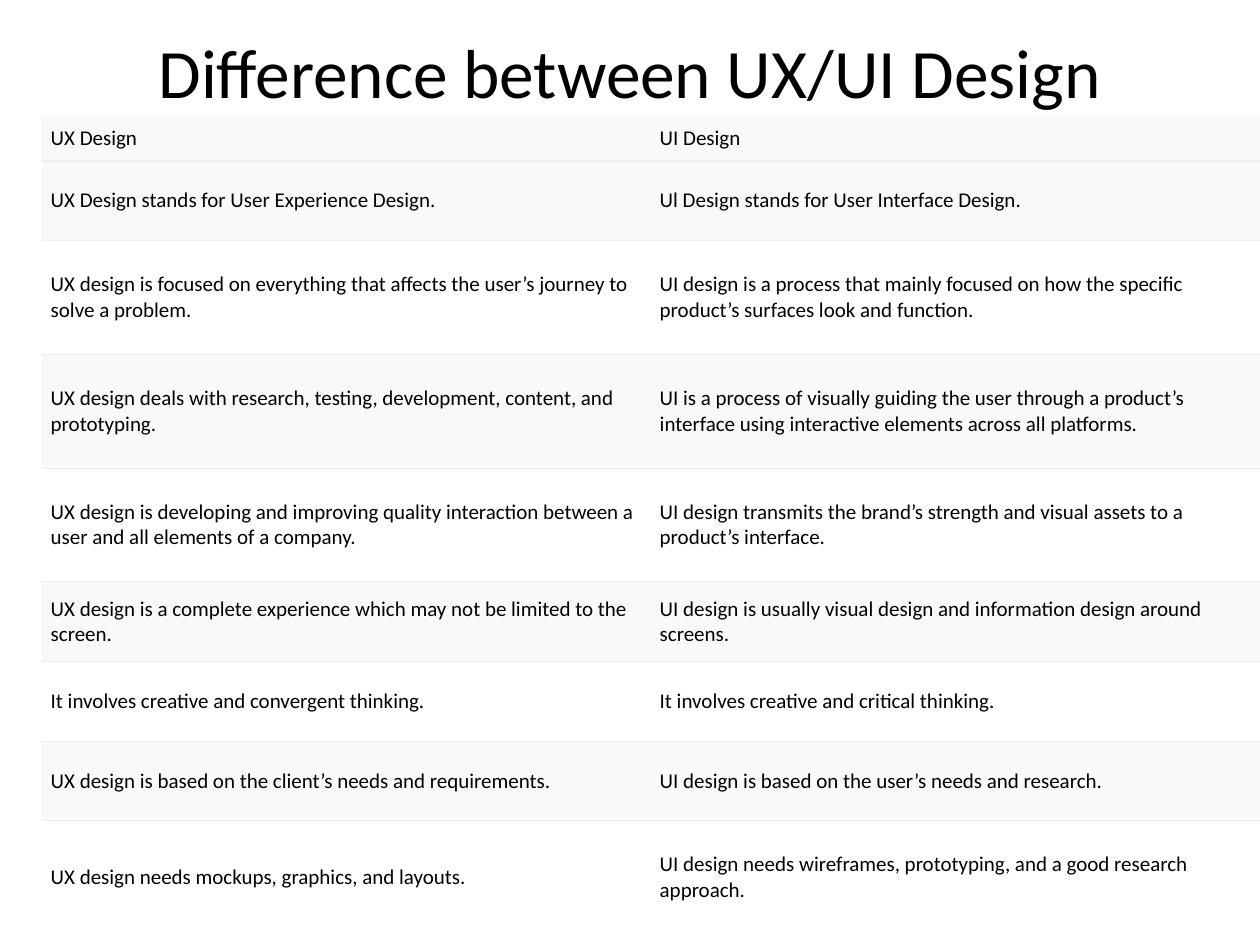
"""Build a slide that compares UX design and UI design in a table."""
from dataclasses import dataclass

from lxml import etree
from pptx import Presentation
from pptx.dml.color import RGBColor
from pptx.enum.text import MSO_ANCHOR, PP_ALIGN
from pptx.oxml.ns import qn
from pptx.slide import Slide
from pptx.table import _Cell
from pptx.text.text import TextFrame
from pptx.util import Pt

MIDDLE = MSO_ANCHOR.MIDDLE
CENTER = PP_ALIGN.CENTER
LEFT = PP_ALIGN.LEFT
FONT = "Calibri"
COLORS = {"text": "000000", "shaded": "F9F9F9", "plain": "FFFFFF", "rule": "EEEEEE"}
COLUMN_WIDTH = 348
HEADER, SHORT, TALL = 26, 45.5, 65


@dataclass(frozen=True)
class Comparison:
    ux: str
    ui: str
    height: float


COMPARISONS = [
    Comparison("UX Design", "UI Design", HEADER),
    Comparison("UX Design stands for User Experience Design.",
               "Ul Design stands for User Interface Design.", SHORT),
    Comparison("UX design is focused on everything that affects the user’s journey to solve a problem.",
               "UI design is a process that mainly focused on how the specific product’s surfaces "
               "look and function.", TALL),
    Comparison("UX design deals with research, testing, development, content, and prototyping.",
               "UI is a process of visually guiding the user through a product’s interface using "
               "interactive elements across all platforms.", TALL),
    Comparison("UX design is developing and improving quality interaction between a user and all "
               "elements of a company.",
               "UI design transmits the brand’s strength and visual assets to a product’s interface.", TALL),
    Comparison("UX design is a complete experience which may not be limited to the screen.",
               "UI design is usually visual design and information design around screens.", SHORT),
    Comparison("It involves creative and convergent thinking.",
               "It involves creative and critical thinking.", SHORT),
    Comparison("UX design is based on the client’s needs and requirements.",
               "UI design is based on the user’s needs and research.", SHORT),
    Comparison("UX design needs mockups, graphics, and layouts.",
               "UI design needs wireframes, prototyping, and a good research approach.", TALL),
]


def write_text(text_frame: TextFrame, text: str, size: float, alignment: PP_ALIGN) -> None:
    text_frame.text = text
    paragraph = text_frame.paragraphs[0]
    paragraph.alignment = alignment
    font = paragraph.runs[0].font
    font.name = FONT
    font.size = Pt(size)
    font.color.rgb = RGBColor.from_string(COLORS["text"])


def add_title(slide: Slide, text: str) -> None:
    shape = slide.shapes.add_textbox(Pt(36), Pt(21.6), Pt(648), Pt(38))
    shape.text_frame.word_wrap = True
    shape.text_frame.vertical_anchor = MIDDLE
    write_text(shape.text_frame, text, 39.6, CENTER)


def set_borders(cell: _Cell, ruled_sides: str) -> None:
    properties = cell._tc.get_or_add_tcPr()
    for side in "LRTB":
        line = etree.SubElement(properties, qn(f"a:ln{side}"), w=str(Pt(0.75)))
        if side in ruled_sides:
            fill = etree.SubElement(line, qn("a:solidFill"))
            etree.SubElement(fill, qn("a:srgbClr"), val=COLORS["rule"])
        else:
            etree.SubElement(line, qn("a:noFill"))


def format_cell(cell: _Cell, text: str, color: str, ruled_sides: str) -> None:
    set_borders(cell, ruled_sides)
    cell.fill.solid()
    cell.fill.fore_color.rgb = RGBColor.from_string(color)
    cell.margin_left = cell.margin_right = Pt(5)
    cell.margin_top = cell.margin_bottom = Pt(2.5)
    cell.vertical_anchor = MIDDLE
    write_text(cell.text_frame, text, 12, LEFT)


def add_comparison_table(slide: Slide, comparisons: list[Comparison]) -> None:
    height = sum(comparison.height for comparison in comparisons)
    table = slide.shapes.add_table(
        len(comparisons), 2, Pt(24), Pt(66), Pt(2 * COLUMN_WIDTH), Pt(height)).table
    table.first_row = table.horz_banding = False
    for column in table.columns:
        column.width = Pt(COLUMN_WIDTH)
    last = len(comparisons) - 1
    for index, comparison in enumerate(comparisons):
        table.rows[index].height = Pt(comparison.height)
        color = COLORS["shaded" if index == 0 or index % 2 else "plain"]
        ruled_sides = {0: "B", last: "T"}.get(index, "TB")
        for cell, text in zip(table.rows[index].cells, (comparison.ux, comparison.ui)):
            format_cell(cell, text, color, ruled_sides)


def main() -> None:
    presentation = Presentation()
    presentation.slide_width = Pt(720)
    presentation.slide_height = Pt(540)
    slide = presentation.slides.add_slide(presentation.slide_layouts[6])
    add_title(slide, "Difference between UX/UI Design")
    add_comparison_table(slide, COMPARISONS)
    presentation.save("out.pptx")


if __name__ == "__main__":
    main()
